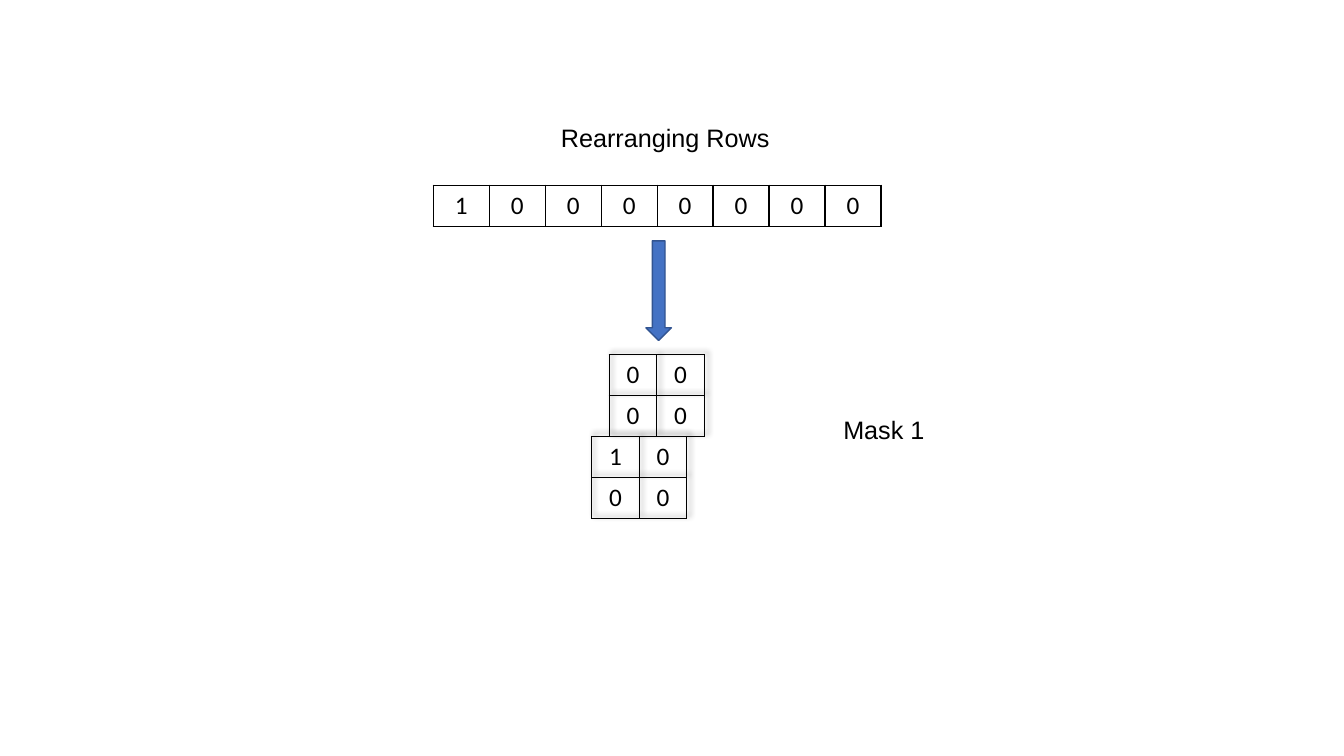
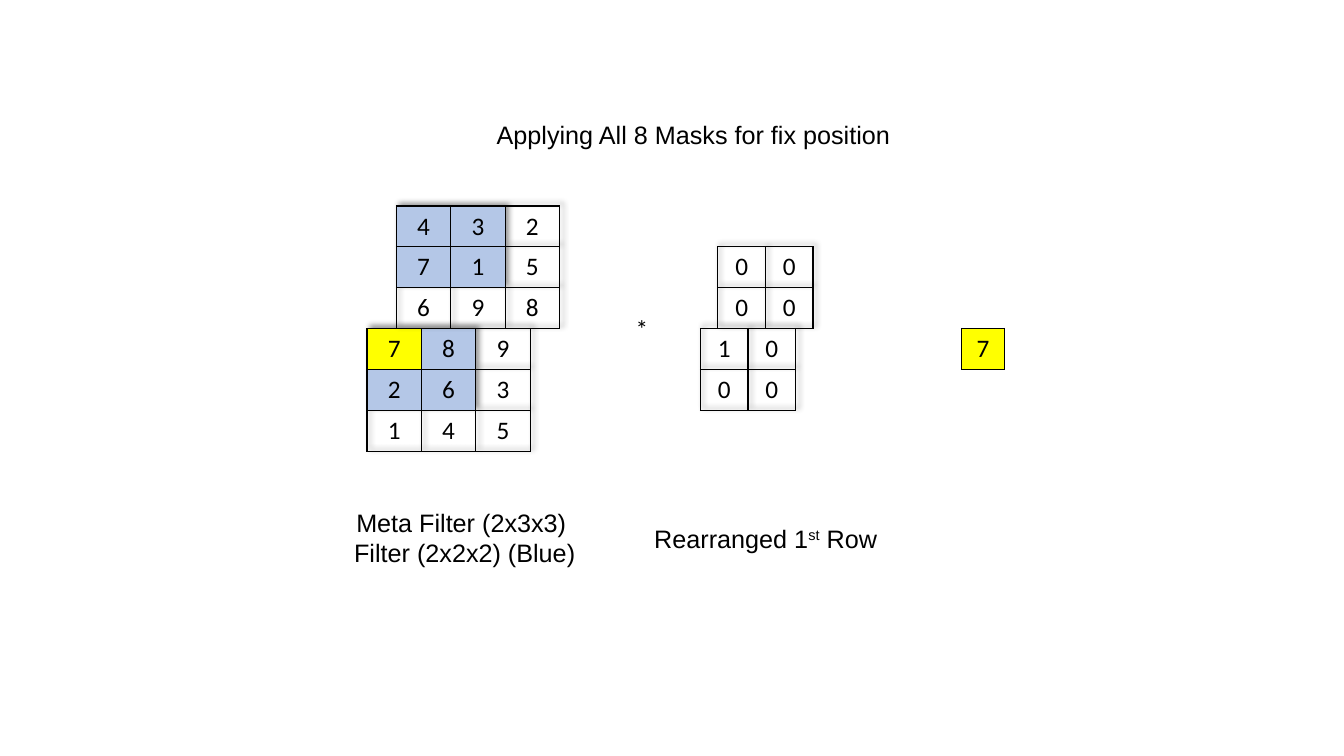
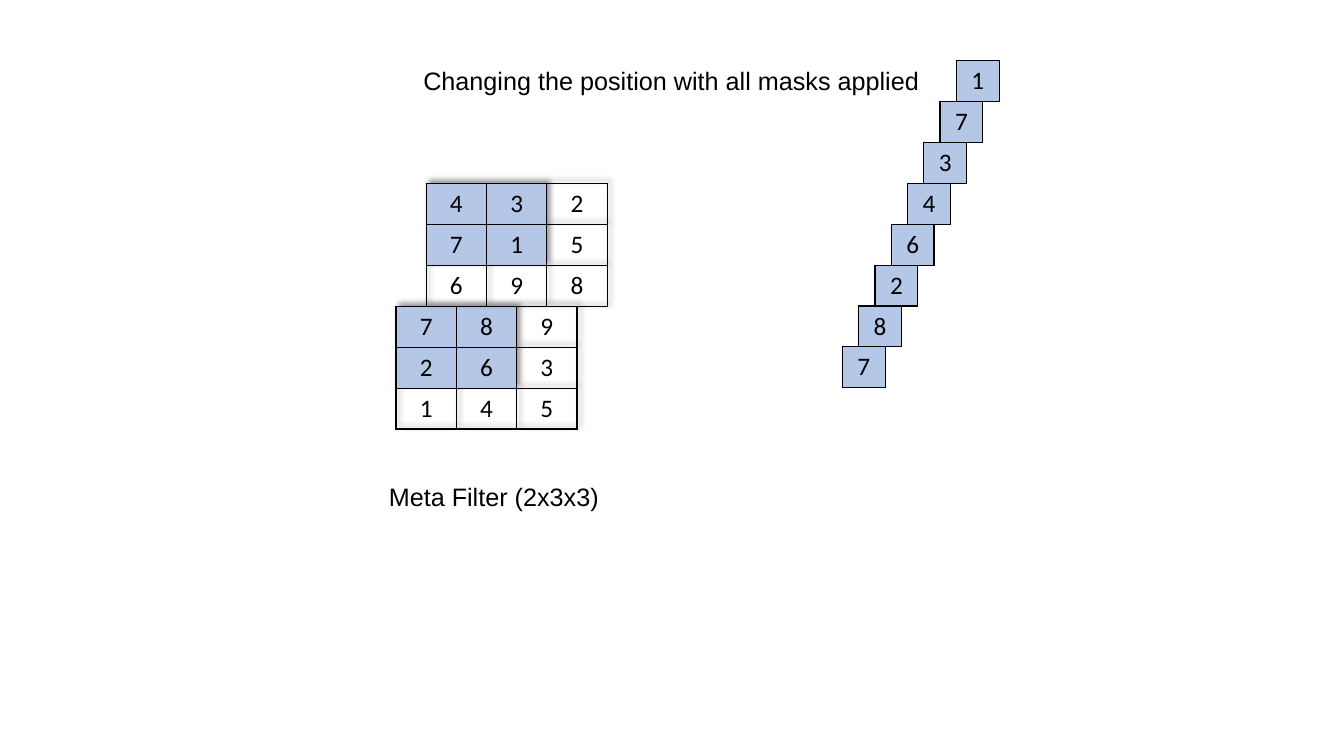
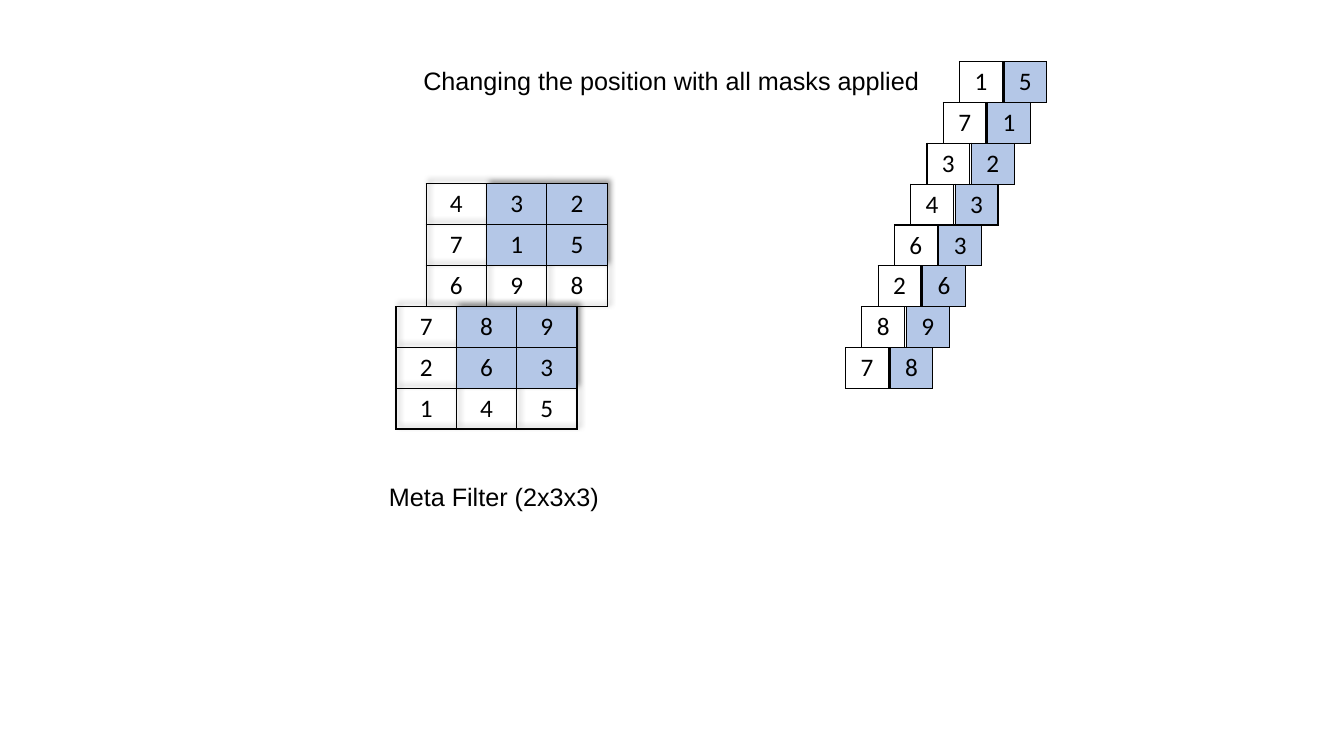
from lxml.etree import SubElement, fromstring
from pptx import Presentation
from pptx.dml.color import RGBColor
from pptx.enum.shapes import MSO_SHAPE
from pptx.enum.text import MSO_ANCHOR, MSO_AUTO_SIZE, PP_ALIGN
from pptx.oxml.ns import nsdecls, qn
from pptx.util import Cm, Pt

BLACK = RGBColor(0x00, 0x00, 0x00)
WHITE = RGBColor(0xFF, 0xFF, 0xFF)
YELLOW = RGBColor(0xFF, 0xFF, 0x00)
PALE_BLUE = RGBColor(0xB4, 0xC7, 0xE7)
ARROW_BLUE = RGBColor(0x44, 0x72, 0xC4)
ARROW_EDGE = RGBColor(0x32, 0x54, 0x91)
TINTS = {"b": PALE_BLUE, "y": YELLOW, "w": WHITE}

LABEL_FONT = {"name": "Arial", "size": Pt(18), "bold": False}
DIGIT_FONT = {"name": "Calibri", "size": Pt(18), "bold": False}
FRAME = {"word_wrap": True, "auto_size": MSO_AUTO_SIZE.SHAPE_TO_FIT_TEXT,
         "vertical_anchor": MSO_ANCHOR.TOP}
PLAIN_TABLE = {"first_row": False, "horz_banding": False}
NO_STYLE = "{2D5ABB26-0587-4C30-8999-92F81FD0307C}"
SHADOW = (
    f'<a:effectLst {nsdecls("a")}><a:outerShdw blurRad="50800" dist="38100" '
    'dir="18900000" algn="bl" rotWithShape="0"><a:prstClr val="black">'
    '<a:alpha val="40000"/></a:prstClr></a:outerShdw></a:effectLst>'
)

ROW_HEIGHT = 1.03
LINE_HEIGHT = 1.02
TITLE_WIDTH = 13.87
MASK_COLUMN = 1.2
STAIR_COLUMN = 1.08
STAIR_SHIFT = 0.41

META_BACK = ["432", "715", "698"]
META_FRONT = ["789", "263", "145"]
MASK_BACK = ["00", "00"]
MASK_FRONT = ["10", "00"]
LEFT_BLOCK = ["bb.", "bb.", "..."]
RIGHT_BLOCK = [".bb", ".bb", "..."]
FIRST_RESULTS = "78264371"
SECOND_RESULTS = "89633215"


def apply(target, values):
    for name, value in values.items():
        setattr(target, name, value)


def style_span(span, font):
    apply(span.font, font)
    span.font.color.rgb = BLACK


def write_lines(frame, lines, align):
    apply(frame, FRAME)
    for number, line in enumerate(lines):
        para = frame.add_paragraph() if number else frame.paragraphs[0]
        para.alignment = align
        for index, part in enumerate(line.split("^")):
            span = para.add_run()
            span.text = part
            style_span(span, LABEL_FONT)
            if index % 2:
                span._r.get_or_add_rPr().set("baseline", "30000")


def add_label(page, left, top, width, lines, align=PP_ALIGN.CENTER):
    height = LINE_HEIGHT * len(lines)
    box = page.shapes.add_textbox(Cm(left), Cm(top), Cm(width), Cm(height))
    write_lines(box.text_frame, lines, align)
    return box


def add_page(deck, title, left, top):
    page = deck.slides.add_slide(deck.slide_layouts[5])
    heading = page.shapes.title
    apply(heading, {"left": Cm(left), "top": Cm(top),
                    "width": Cm(TITLE_WIDTH), "height": Cm(LINE_HEIGHT)})
    write_lines(heading.text_frame, [title], PP_ALIGN.CENTER)
    return page


def add_borders(cell):
    properties = cell._tc.get_or_add_tcPr()
    for index, side in enumerate(("lnL", "lnR", "lnT", "lnB")):
        line = SubElement(properties, qn(f"a:{side}"), w="12700")
        fill = SubElement(line, qn("a:solidFill"))
        SubElement(fill, qn("a:srgbClr"), val=str(BLACK))
        properties.insert(index, line)


def fill_cell(cell, digit, tint):
    cell.vertical_anchor = MSO_ANCHOR.MIDDLE
    para = cell.text_frame.paragraphs[0]
    para.alignment = PP_ALIGN.CENTER
    span = para.add_run()
    span.text = digit
    style_span(span, DIGIT_FONT)
    if tint in TINTS:
        cell.fill.solid()
        cell.fill.fore_color.rgb = TINTS[tint]
    else:
        cell.fill.background()
    add_borders(cell)


def add_grid(page, left, top, column, digits, tints=None, shadow=False):
    tints = tints or ["." * len(row) for row in digits]
    columns = len(digits[0])
    table = page.shapes.add_table(
        len(digits), columns, Cm(left), Cm(top),
        Cm(column * columns), Cm(ROW_HEIGHT * len(digits))).table
    apply(table, PLAIN_TABLE)
    properties = table._tbl.tblPr
    properties.find(qn("a:tableStyleId")).text = NO_STYLE
    if shadow:
        properties.insert(0, fromstring(SHADOW))
    for table_column in table.columns:
        table_column.width = Cm(column)
    for row, (row_digits, row_tints) in enumerate(zip(digits, tints)):
        table.rows[row].height = Cm(ROW_HEIGHT)
        for position, (digit, tint) in enumerate(zip(row_digits, row_tints)):
            fill_cell(table.cell(row, position), digit, tint)


def add_layers(page, left, seam, shift, column, front, back,
               front_tints=None, back_tints=None):
    add_grid(page, left, seam, column, front, front_tints, shadow=True)
    add_grid(page, left + shift, seam - ROW_HEIGHT * len(back), column,
             back, back_tints, shadow=True)


def add_mask(page, left, seam):
    add_layers(page, left, seam, 0.44, MASK_COLUMN, MASK_FRONT, MASK_BACK)


def add_staircase(page, left, bottom, digits, tint):
    for step, digit in enumerate(digits):
        add_grid(page, left + STAIR_SHIFT * step, bottom - ROW_HEIGHT * step,
                 STAIR_COLUMN, [digit], [tint])


def add_down_arrow(page, left, top, width, height):
    arrow = page.shapes.add_shape(
        MSO_SHAPE.DOWN_ARROW, Cm(left), Cm(top), Cm(width), Cm(height))
    arrow.shadow.inherit = False
    arrow.fill.solid()
    arrow.fill.fore_color.rgb = ARROW_BLUE
    arrow.line.color.rgb = ARROW_EDGE
    arrow.line.width = Pt(1)


def build_rearranging(deck):
    page = add_page(deck, "Rearranging Rows", 9.83, 2.95)
    add_mask(page, 14.91, 11)
    add_grid(page, 10.92, 4.67, 1.41, ["10000000"])
    add_down_arrow(page, 16.28, 6.07, 0.64, 2.51)
    add_label(page, 15.34, 10.31, TITLE_WIDTH, ["Mask 1"])


def build_masking(deck):
    page = add_page(deck, "Applying All 8 Masks for fix position", 10.54, 2.87)
    add_layers(page, 9.25, 8.28, 0.74, 1.37, META_FRONT, META_BACK,
               ["yb.", "bb.", "..."], LEFT_BLOCK)
    add_mask(page, 17.65, 8.28)
    times = add_label(page, 15.77, 7.77, 0.64, ["*"], PP_ALIGN.LEFT)
    style_span(times.text_frame.paragraphs[0].runs[0], DIGIT_FONT)
    add_label(page, 7.14, 12.65, 8.97,
              ["Meta Filter (2x3x3)", " Filter (2x2x2) (Blue)"])
    add_label(page, 14.81, 13.06, 8.97, ["Rearranged 1^st^ Row"])
    add_grid(page, 24.23, 8.28, STAIR_COLUMN, ["7"], ["y"])


def build_moving(deck, block, staircases):
    page = add_page(deck, "Changing the position with all masks applied",
                    9.98, 1.52)
    for staircase in staircases:
        add_staircase(page, *staircase)
    add_layers(page, 9.98, 7.72, 0.76, 1.52, META_FRONT, META_BACK,
               block, block)
    add_label(page, 9.55, 12.01, 6.88, ["Meta Filter (2x3x3)"], PP_ALIGN.LEFT)


def main():
    deck = Presentation()
    deck.slide_width = Cm(33.87)
    deck.slide_height = Cm(19.05)
    build_rearranging(deck)
    build_masking(deck)
    build_moving(deck, LEFT_BLOCK, [(21.23, 8.74, FIRST_RESULTS, "b")])
    build_moving(deck, RIGHT_BLOCK, [(21.31, 8.76, FIRST_RESULTS, "w"),
                                     (22.43, 8.76, SECOND_RESULTS, "b")])
    deck.save("out.pptx")


main()
